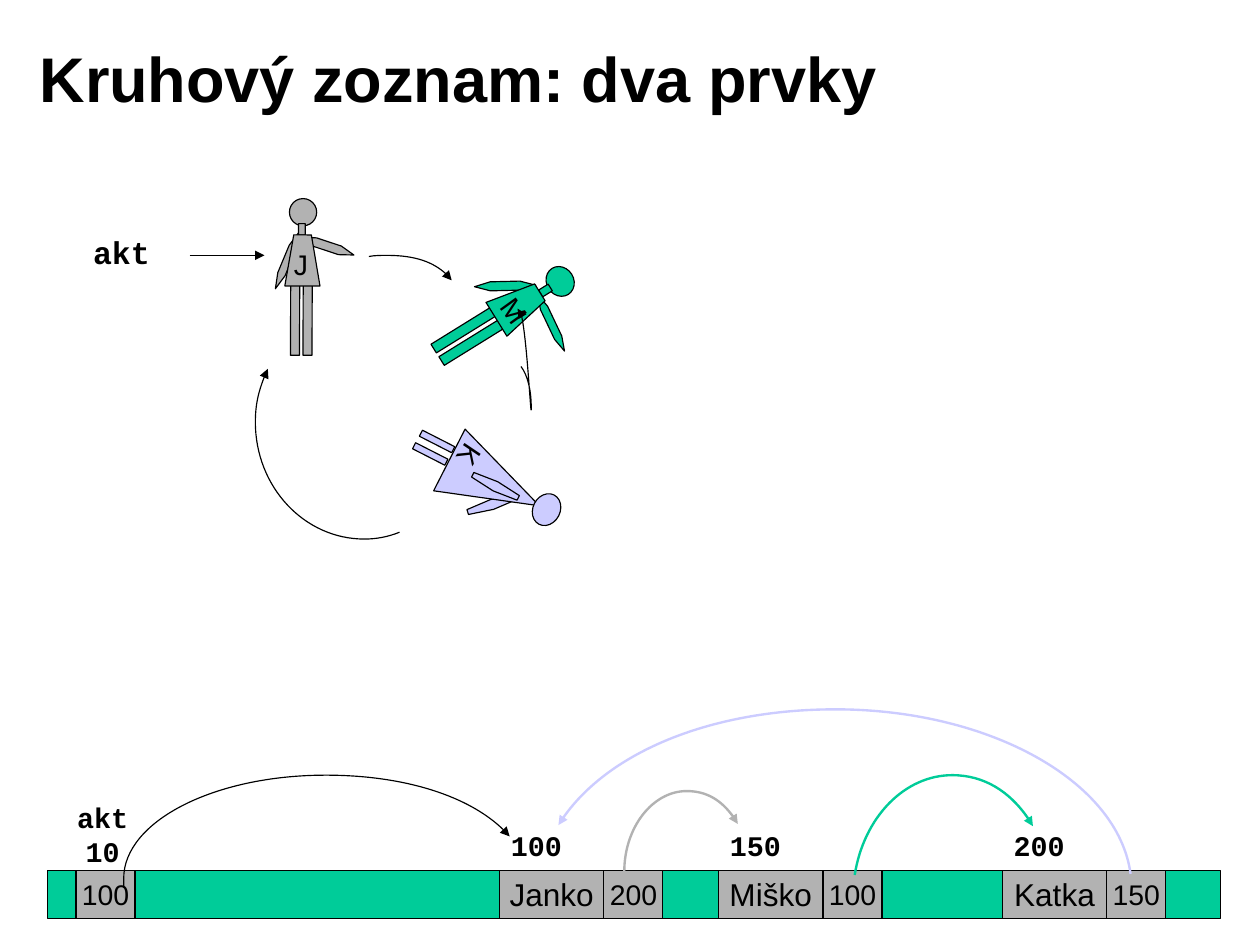
"""Build the slide about a circular list of people and its memory layout."""
from dataclasses import dataclass

from lxml.etree import SubElement
from pptx import Presentation
from pptx.dml.color import RGBColor
from pptx.enum.shapes import MSO_CONNECTOR, MSO_SHAPE
from pptx.enum.text import MSO_ANCHOR, PP_ALIGN
from pptx.oxml.ns import qn
from pptx.util import Inches, Pt

BLACK, GREY, GREEN, LILAC = "000000", "B2B2B2", "00CC99", "CCCCFF"
SANS, MONO = "Arial", "Courier New"
HEXAGON, OVAL = MSO_SHAPE.HEXAGON, MSO_SHAPE.OVAL
RECT, TRIANGLE = MSO_SHAPE.RECTANGLE, MSO_SHAPE.ISOSCELES_TRIANGLE
DRESS = None
BAR_TOP, BAR_HEIGHT = 7.67, 0.42
NAME_WIDTH, VALUE_WIDTH = 0.92, 0.52


@dataclass
class Limb:
    kind: MSO_SHAPE | None
    box: tuple[float, float, float, float]
    rotation: float
    adjust: float | None = None


@dataclass
class Person:
    color: str
    letter: str
    letter_box: tuple[float, float, float, float]
    letter_rotation: float
    limbs: list[Limb]


@dataclass
class Record:
    x: float
    name: str
    address: str
    following: str


@dataclass
class Arc:
    color: str
    width: float
    points: list[tuple[float, float]]


PEOPLE = [
    Person(LILAC, "K", (3.96, 3.81, 0.36, 0.4), 124, [
        Limb(HEXAGON, (4.29, 4.22, 0.09, 0.45), 72.6),
        Limb(TRIANGLE, (4.05, 3.81, 0.61, 0.89), 117),
        Limb(HEXAGON, (4.32, 4.06, 0.09, 0.45), 117),
        Limb(OVAL, (4.67, 4.37, 0.29, 0.24), 117),
        Limb(RECT, (3.82, 3.73, 0.06, 0.32), 117),
        Limb(RECT, (3.76, 3.84, 0.06, 0.32), 117),
    ]),
    Person(GREEN, "M", (4.33, 2.54, 0.41, 0.4), 54.2, [
        Limb(HEXAGON, (4.18, 2.48, 0.54, 0.08), 358.6, 1.74),
        Limb(HEXAGON, (4.58, 2.81, 0.55, 0.07), 64.6, 1.85),
        Limb(OVAL, (4.8, 2.36, 0.27, 0.24), 58.2),
        Limb(RECT, (4.06, 2.56, 0.09, 0.67), 58.2),
        Limb(RECT, (4.13, 2.67, 0.09, 0.67), 58.2),
        Limb(RECT, (4.77, 2.51, 0.07, 0.1), 58.2),
        Limb(DRESS, (4.39, 2.47, 0.35, 0.45), 58.2),
    ]),
    Person(GREY, "J", (2.49, 2.13, 0.32, 0.4), 0, [
        Limb(HEXAGON, (2.26, 2.26, 0.54, 0.07), 292.6, 1.99),
        Limb(HEXAGON, (2.64, 2.13, 0.49, 0.08), 18.3, 1.62),
        Limb(OVAL, (2.55, 1.75, 0.24, 0.24), 0.2),
        Limb(RECT, (2.56, 2.46, 0.08, 0.67), 0.2),
        Limb(RECT, (2.67, 2.46, 0.08, 0.67), 0.2),
        Limb(RECT, (2.63, 1.97, 0.06, 0.1), 0.2),
        Limb(DRESS, (2.51, 2.07, 0.31, 0.45), 0.2),
    ]),
]

RECORDS = [
    Record(4.4, "Janko", "100", "200"),
    Record(6.33, "Miško", "150", "100"),
    Record(8.83, "Katka", "200", "150"),
]

ARCS = [
    Arc(BLACK, 0.75, [(1.09, 7.82), (1.09, 7.8), (1.09, 7.77), (1.09, 7.74), (1.09, 7.24),
                      (1.88, 6.83), (2.87, 6.83), (3.57, 6.83), (4.21, 7.04), (4.49, 7.37)]),
    Arc(GREY, 1.5, [(5.51, 7.75), (5.5, 7.73), (5.5, 7.7), (5.5, 7.68), (5.5, 7.29),
                    (5.75, 6.97), (6.05, 6.97), (6.23, 6.97), (6.4, 7.08), (6.5, 7.26)]),
    Arc(GREEN, 1.5, [(7.53, 7.71), (7.61, 7.2), (7.97, 6.83), (8.39, 6.83),
                     (8.67, 6.83), (8.94, 7), (9.1, 7.28)]),
    Arc(LILAC, 1.5, [(9.96, 7.7), (9.85, 6.88), (8.71, 6.25), (7.36, 6.25),
                     (6.27, 6.25), (5.3, 6.65), (4.92, 7.27)]),
    Arc(BLACK, 0.75, [(3.25, 2.26), (3.3, 2.25), (3.36, 2.25), (3.41, 2.25),
                      (3.67, 2.25), (3.89, 2.34), (3.98, 2.47)]),
    Arc(BLACK, 0.75, [(4.59, 3.23), (4.65, 3.31), (4.68, 3.44), (4.68, 3.59),
                      (4.68, 3.76), (4.63, 2.66), (4.56, 2.72)]),
    Arc(BLACK, 0.75, [(3.52, 4.69), (3.42, 4.73), (3.32, 4.75), (3.21, 4.75), (2.68, 4.75),
                      (2.25, 4.29), (2.25, 3.72), (2.25, 3.56), (2.29, 3.4), (2.36, 3.25)]),
]


def rgb(color: str) -> RGBColor:
    return RGBColor.from_string(color)


def write(sp, text: str, *, size: float = 18, font: str = SANS, bold: bool = False,
          align=PP_ALIGN.CENTER, anchor=MSO_ANCHOR.TOP, wrap: bool = False) -> None:
    tf = sp.text_frame
    tf.word_wrap = wrap
    tf.vertical_anchor = anchor
    for i, line in enumerate(text.split("\n")):
        p = tf.add_paragraph() if i else tf.paragraphs[0]
        p.alignment = align
        r = p.add_run()
        r.text = line
        r.font.size, r.font.name, r.font.bold = Pt(size), font, bold
        r.font.color.rgb = rgb(BLACK)


def add_text(shapes, box: tuple, text: str, *, rotation: float = 0, **fmt) -> None:
    sp = shapes.add_textbox(*map(Inches, box))
    sp.rotation = rotation
    write(sp, text, **fmt)


def paint(sp, color: str) -> None:
    sp.shadow.inherit = False
    sp.fill.solid()
    sp.fill.fore_color.rgb = rgb(color)
    sp.line.color.rgb = rgb(BLACK)
    sp.line.width = Pt(0.75)


def add_outline(shapes, points: list, close: bool):
    start, *rest = [(Inches(x), Inches(y)) for x, y in points]
    builder = shapes.build_freeform(*start)
    builder.add_line_segments(rest, close=close)
    return builder.convert_to_shape()


def add_limb(shapes, limb: Limb, color: str) -> None:
    if limb.kind is DRESS:
        x, y, w, h = limb.box
        sp = add_outline(shapes, [(x, y + h), (x + w / 4, y), (x + w * 3 / 4, y),
                                  (x + w, y + h)], True)
    else:
        sp = shapes.add_shape(limb.kind, *map(Inches, limb.box))
    if limb.adjust is not None:
        sp.adjustments[0] = limb.adjust
    sp.rotation = limb.rotation
    paint(sp, color)


def add_cell(shapes, x: float, width: float, color: str, text: str = "", size: float = 18) -> None:
    sp = shapes.add_shape(RECT, *map(Inches, (x, BAR_TOP, width, BAR_HEIGHT)))
    paint(sp, color)
    if text:
        write(sp, text, size=size, anchor=MSO_ANCHOR.MIDDLE)


def style_arrow(sp, color: str, width: float) -> None:
    sp.line.color.rgb = rgb(color)
    sp.line.width = Pt(width)
    ln = sp._element.spPr.find(qn("a:ln"))
    SubElement(ln, qn("a:tailEnd"), type="triangle")


def add_arc(shapes, arc: Arc) -> None:
    sp = add_outline(shapes, arc.points, False)
    steps = list(sp._element.iter(qn("a:lnTo")))
    for i in range(0, len(steps), 3):
        curve = SubElement(steps[i].getparent(), qn("a:cubicBezTo"))
        for step in steps[i:i + 3]:
            curve.append(step[0])
            step.getparent().remove(step)
    sp.shadow.inherit = False
    sp.fill.background()
    style_arrow(sp, arc.color, arc.width)


def main() -> None:
    prs = Presentation()
    prs.slide_width, prs.slide_height = Inches(11.1), Inches(8.3)
    shapes = prs.slides.add_slide(prs.slide_layouts[6]).shapes

    add_text(shapes, (0.25, 0.17, 8.91, 1.02), "Kruhový zoznam: dva prvky", size=40, bold=True,
             align=PP_ALIGN.LEFT, anchor=MSO_ANCHOR.MIDDLE, wrap=True)
    for person in PEOPLE:
        group = shapes.add_group_shape()
        for limb in person.limbs:
            add_limb(group.shapes, limb, person.color)
        add_text(shapes, person.letter_box, person.letter, rotation=person.letter_rotation)

    add_text(shapes, (0.72, 2, 0.7, 0.44), "akt", size=20, font=MONO, bold=True)
    pointer = shapes.add_connector(MSO_CONNECTOR.STRAIGHT, *map(Inches, (1.67, 2.25, 2.33, 2.25)))
    style_arrow(pointer, BLACK, 0.75)
    SubElement(pointer._element.spPr, qn("a:effectLst"))

    add_cell(shapes, 0.42, 10.33, GREEN)
    add_cell(shapes, 0.67, VALUE_WIDTH, GREY, "100")
    add_text(shapes, (0.58, 7, 0.65, 0.7), "akt\n10", font=MONO, bold=True)
    for record in RECORDS:
        add_cell(shapes, record.x, NAME_WIDTH, GREY, record.name, 20)
        add_cell(shapes, record.x + NAME_WIDTH, VALUE_WIDTH, GREY, record.following)
        add_text(shapes, (record.x, 7.25, 0.65, 0.4), record.address, font=MONO, bold=True)
    for arc in ARCS:
        add_arc(shapes, arc)
    prs.save("out.pptx")


if __name__ == "__main__":
    main()
